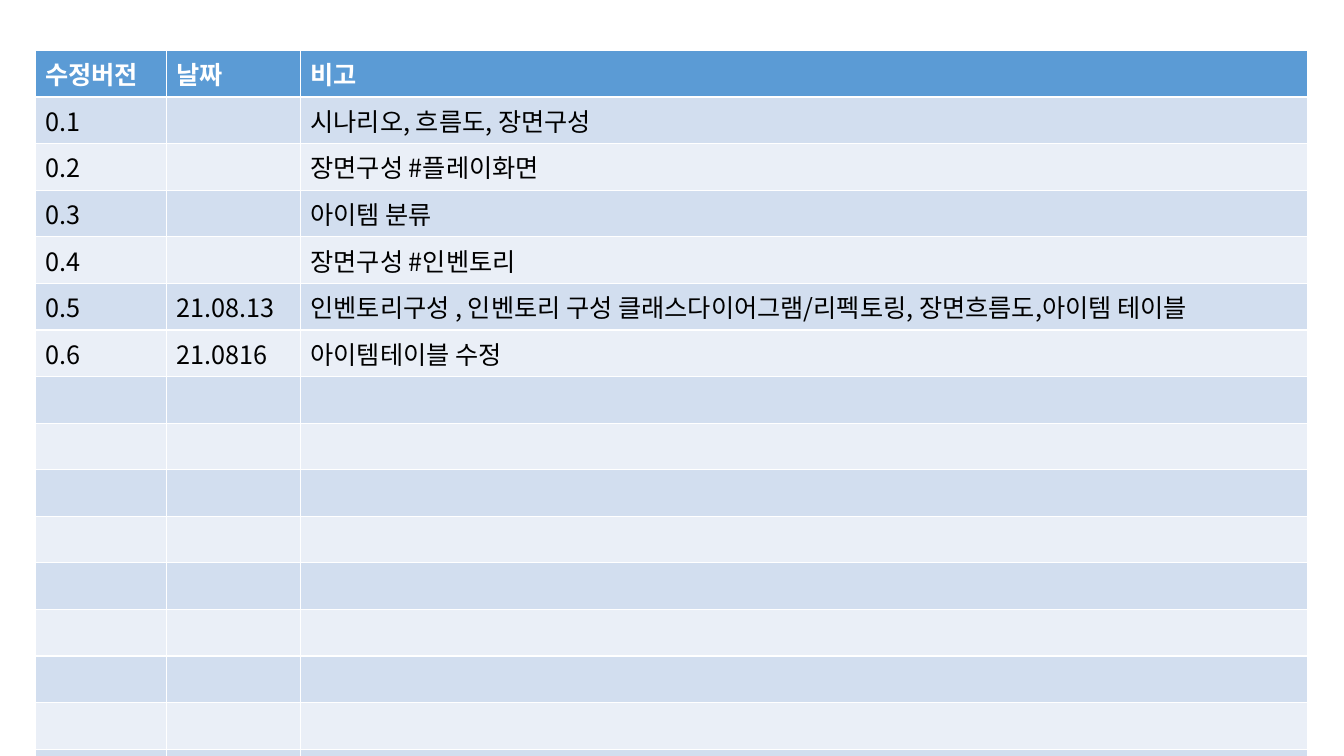
from dataclasses import dataclass

import pptx
import pptx.dml.color
import pptx.oxml.ns
import pptx.util
from lxml import etree

Inches = pptx.util.Inches


@dataclass(frozen=True)
class Theme:
    """Colours and type of the slide."""
    font: str = "Noto Sans CJK KR"
    size: int = 18
    header_fill: str = "5B9BD5"
    header_text: str = "FFFFFF"
    body_text: str = "000000"
    bands: tuple = ("D2DEEF", "EAEFF7")


THEME = Theme()
ROW_COUNT = 17
ROW_HEIGHT = 0.4
COLUMN_WIDTHS = (1.3, 1.33, 9.99)
REVISIONS = (
    ("수정버전", "날짜", "비고"),
    ("0.1", "", "시나리오, 흐름도, 장면구성 "),
    ("0.2", "", "장면구성 #플레이화면"),
    ("0.3", "", "아이템 분류"),
    ("0.4", "", "장면구성 #인벤토리"),
    ("0.5", "21.08.13", "인벤토리구성 , 인벤토리 구성 클래스다이어그램/리펙토링, 장면흐름도,아이템 테이블"),
    ("0.6", "21.0816", "아이템테이블 수정"),
)


def rgb(value):
    """Turn a hex string into a colour."""
    return pptx.dml.color.RGBColor.from_string(value)


def set_font(paragraph, color, bold):
    """Format a paragraph for both Latin and Korean text."""
    font = paragraph.font
    font.name = THEME.font
    font.size = pptx.util.Pt(THEME.size)
    font.bold = bold
    font.color.rgb = rgb(color)
    qn = pptx.oxml.ns.qn
    defaults = paragraph._p.pPr.find(qn("a:defRPr"))
    etree.SubElement(defaults, qn("a:ea"), typeface=THEME.font)


def fill_cell(cell, text, row):
    """Write one cell with the look of its row."""
    is_header = row == 0
    cell.fill.solid()
    cell.fill.fore_color.rgb = rgb(
        THEME.header_fill if is_header else THEME.bands[(row - 1) % 2])
    paragraph = cell.text_frame.paragraphs[0]
    if text:
        paragraph.text = text
    set_font(paragraph, THEME.header_text if is_header else THEME.body_text,
             is_header)


def add_revision_table(slide):
    """Add the revision history, with empty rows for later entries."""
    history = slide.shapes.add_table(
        ROW_COUNT, len(COLUMN_WIDTHS), Inches(0.35), Inches(0.5),
        Inches(sum(COLUMN_WIDTHS)), Inches(ROW_COUNT * ROW_HEIGHT)).table
    for column, width in zip(history.columns, COLUMN_WIDTHS):
        column.width = Inches(width)
    unused = ("",) * len(COLUMN_WIDTHS)
    for row in range(ROW_COUNT):
        history.rows[row].height = Inches(ROW_HEIGHT)
        entries = REVISIONS[row] if row < len(REVISIONS) else unused
        for column, text in enumerate(entries):
            fill_cell(history.cell(row, column), text, row)


def main():
    """Build and save the slide."""
    presentation = pptx.Presentation()
    presentation.slide_width = Inches(13.33)
    presentation.slide_height = Inches(7.5)
    blank_layout = presentation.slide_layouts[6]
    add_revision_table(presentation.slides.add_slide(blank_layout))
    presentation.save("out.pptx")


main()
